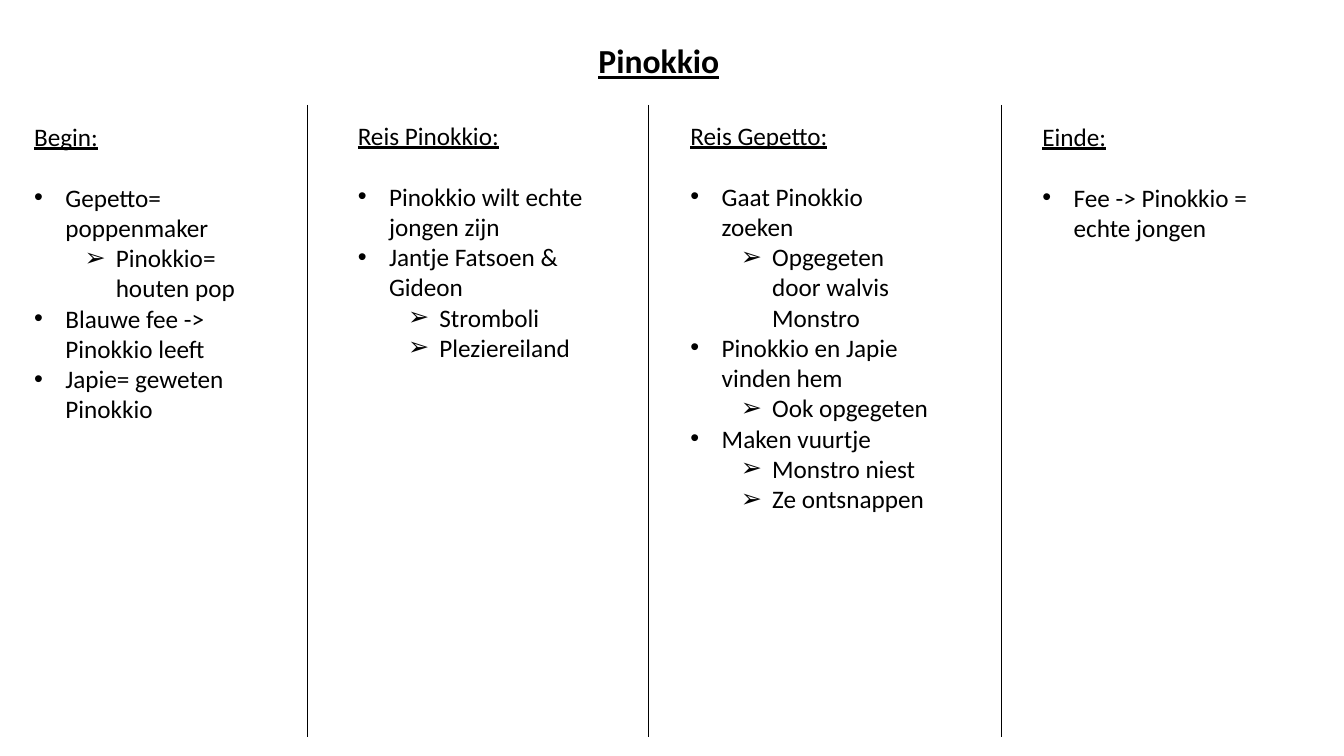
from lxml import etree
from pptx import Presentation
from pptx import util as u
from pptx.dml.color import RGBColor
from pptx.enum import shapes, text
from pptx.oxml import ns

BLACK = RGBColor(0, 0, 0)
TITLE = {"size": u.Pt(24), "bold": True, "underline": True}
HEAD = {"size": u.Pt(18), "underline": True}
ITEM = {"size": u.Pt(18), "underline": False}
MARKS = ("\u2022", "\u27a2")
RULES = (6.43, 3.05, 9.93)
PARTS = [
    (0.24, 1.15, 3.13, "Begin:", [
        (0, "Gepetto= poppenmaker"),
        (1, "Pinokkio= houten pop"),
        (0, "Blauwe fee -> Pinokkio leeft"),
        (0, "Japie= geweten Pinokkio")]),
    (3.45, 1.14, 2.83, "Reis Pinokkio:", [
        (0, "Pinokkio wilt echte jongen zijn"),
        (0, "Jantje Fatsoen & Gideon"),
        (1, "Stromboli"),
        (1, "Pleziereiland")]),
    (6.75, 1.14, 4.34, "Reis Gepetto:", [
        (0, "Gaat Pinokkio zoeken"),
        (1, "Opgegeten door walvis Monstro"),
        (0, "Pinokkio en Japie vinden hem"),
        (1, "Ook opgegeten"),
        (0, "Maken vuurtje"),
        (1, "Monstro niest"),
        (1, "Ze ontsnappen")]),
    (10.24, 1.15, 1.31, "Einde:", [
        (0, "Fee -> Pinokkio = echte jongen")]),
]


def add_box(slide, left, top, width, height, wrap=True):
    """Add a text box that grows with its text and return its frame."""
    box = slide.shapes.add_textbox(*map(u.Inches, (left, top, width, height)))
    frame = box.text_frame
    frame.word_wrap = wrap
    frame.auto_size = text.MSO_AUTO_SIZE.SHAPE_TO_FIT_TEXT
    return frame


def write(para, words, style):
    """Write one styled run into a paragraph."""
    run = para.add_run()
    run.text = words
    run.font.name = "Calibri"
    run.font.color.rgb = BLACK
    for key, value in style.items():
        setattr(run.font, key, value)


def mark(para, level):
    """Give a paragraph the bullet and indent of its level."""
    para.level = level
    props = para._p.get_or_add_pPr()
    props.set("marL", str(u.Inches(0.31 + 0.5 * level)))
    props.set("indent", str(u.Inches(-0.31)))
    etree.SubElement(props, ns.qn("a:buFont"), typeface="Arial")
    etree.SubElement(props, ns.qn("a:buChar"), char=MARKS[level])


def add_rule(slide, left):
    """Draw an upright line between two columns."""
    ends = map(u.Inches, (left, 1.04, left, 7.31))
    rule = slide.shapes.add_connector(shapes.MSO_CONNECTOR.STRAIGHT, *ends)
    rule.line.color.rgb = BLACK
    rule.line.width = u.Pt(0.5)
    etree.SubElement(rule._element.spPr, ns.qn("a:effectLst"))


def add_part(slide, left, top, height, head, items):
    """Add one column with its heading and bulleted items."""
    frame = add_box(slide, left, top, 2.58, height)
    first = frame.paragraphs[0]
    first.space_after = u.Pt(22)
    write(first, head, HEAD)
    for level, words in items:
        para = frame.add_paragraph()
        mark(para, level)
        write(para, words, ITEM)


def main():
    """Build the story slide and save it."""
    deck = Presentation()
    deck.slide_width, deck.slide_height = u.Inches(13.33), u.Inches(7.5)
    slide = deck.slides.add_slide(deck.slide_layouts[6])
    title = add_box(slide, 5.83, 0.35, 1.41, 0.5, wrap=False).paragraphs[0]
    title.alignment = text.PP_ALIGN.CENTER
    write(title, "Pinokkio", TITLE)
    for left in RULES:
        add_rule(slide, left)
    for part in PARTS:
        add_part(slide, *part)
    deck.save("out.pptx")


main()
